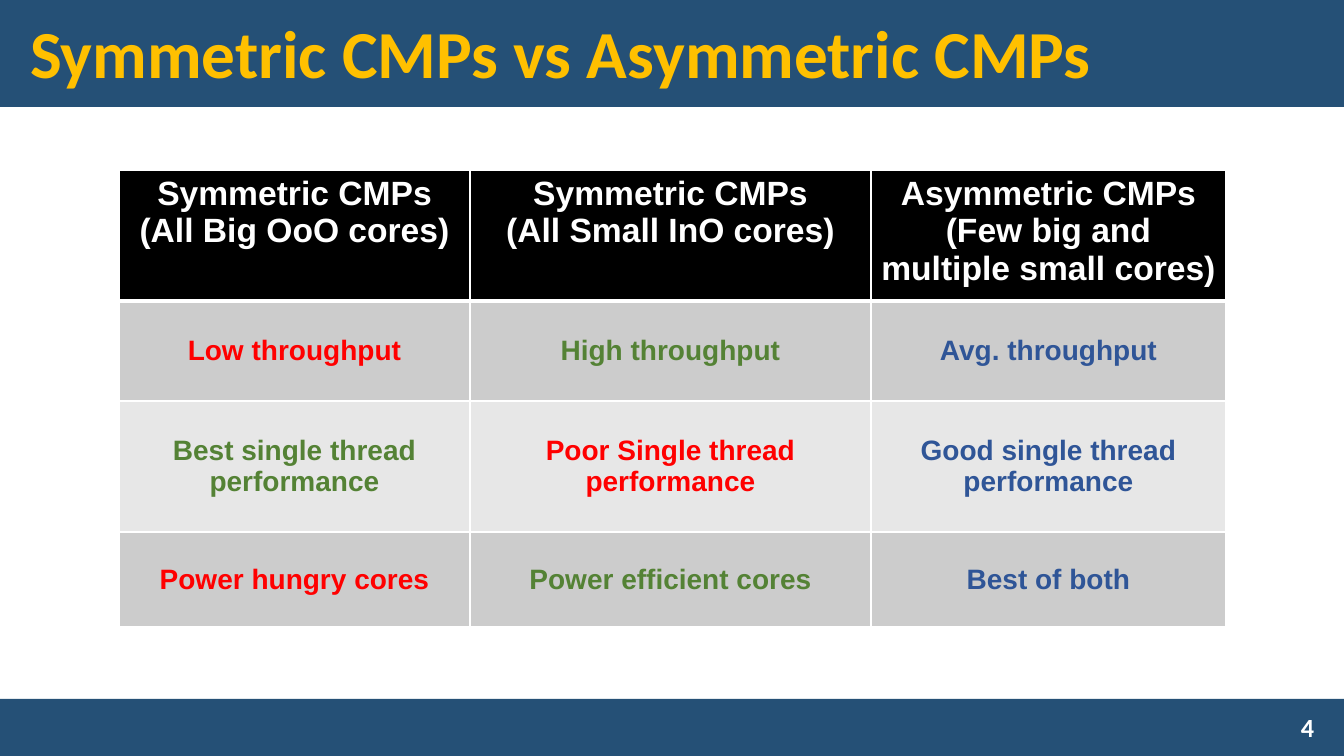
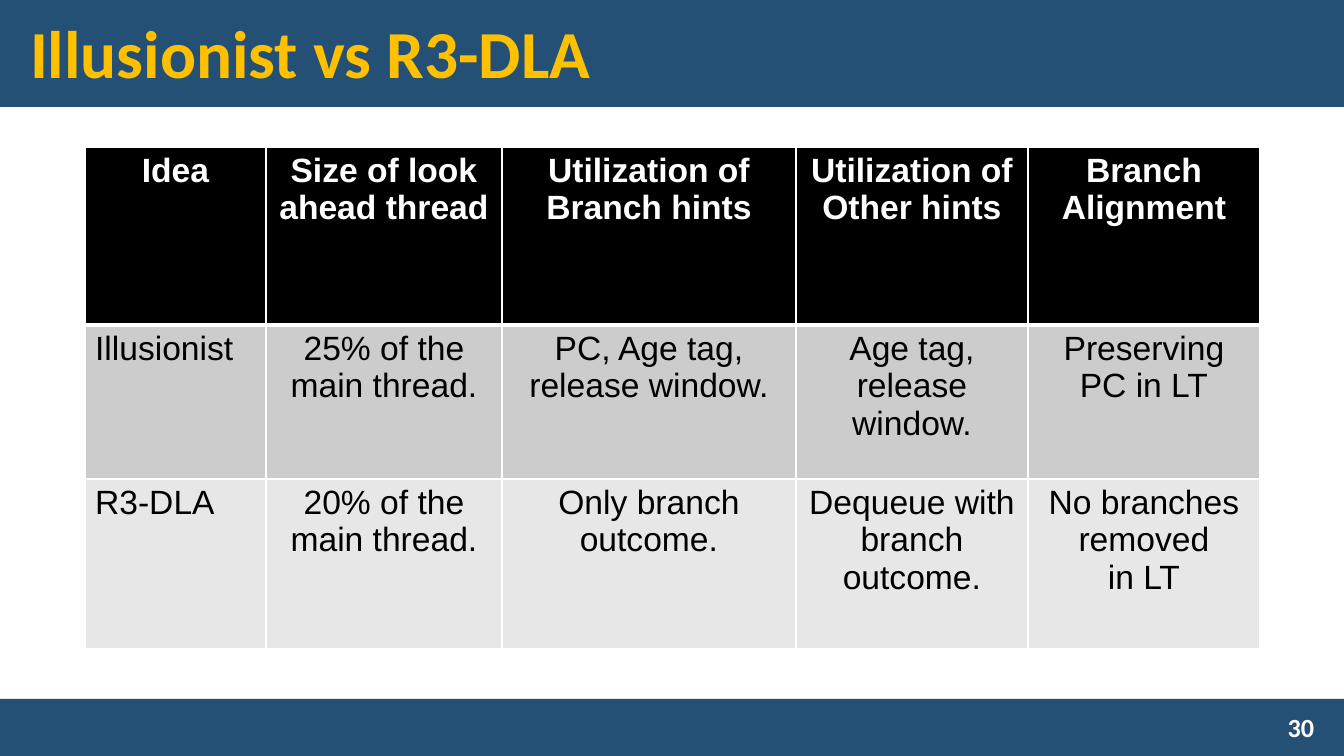
from pptx import Presentation
from pptx import util as u
from pptx.dml.color import RGBColor
from pptx.enum import shapes, text
from pptx.oxml import parse_xml
from pptx.oxml.ns import nsdecls

EMU_PER_INCH, PX_PER_INCH = 914400, 100.8
WIDTH, HEIGHT = 1344, 756
NAVY, GOLD, WHITE, BLACK = "255076", "FFC000", "FFFFFF", "000000"
RED, GREEN, BLUE = "FF0000", "548235", "2F5597"
STRIPES = ["CCCCCC", "E7E7E7"]
CENTER, LEFT, RIGHT = text.PP_ALIGN.CENTER, text.PP_ALIGN.LEFT, text.PP_ALIGN.RIGHT
TOP, MIDDLE = text.MSO_ANCHOR.TOP, text.MSO_ANCHOR.MIDDLE


def px(*lengths):
    return [u.Emu(round(n * EMU_PER_INCH / PX_PER_INCH)) for n in lengths]


def write(frame, words, size, face, color, bold, align):
    frame.text = words
    frame.word_wrap = True
    for paragraph in frame.paragraphs:
        paragraph.alignment = align
        font = paragraph.font
        font.name, font.size, font.bold = face, u.Pt(size), bold
        font.color.rgb = RGBColor.from_string(color)


comparisons = [
    {
        "title": "Symmetric CMPs vs Asymmetric CMPs",
        "number": "4",
        "corner": (119, 170),
        "columns": [351, 401, 355],
        "rows": [127, 100, 131, 95],
        "cells": [
            ["Symmetric CMPs\n(All Big OoO cores)",
             "Symmetric CMPs\n(All Small InO cores)",
             "Asymmetric CMPs\n(Few big and multiple small cores)"],
            ["Low throughput", "High throughput", "Avg. throughput"],
            ["Best single thread performance",
             "Poor Single thread performance",
             "Good single thread performance"],
            ["Power hungry cores", "Power efficient cores", "Best of both"],
        ],
        "colors": [[RED, GREEN, BLUE], [GREEN, RED, BLUE], [RED, GREEN, BLUE]],
        "size": 20,
        "bold": True,
        "anchor": MIDDLE,
        "first_align": CENTER,
    },
    {
        "title": "Illusionist vs R3-DLA",
        "number": "30",
        "corner": (85, 147),
        "columns": [181, 236, 294, 232, 232],
        "rows": [178, 154, 170],
        "cells": [
            ["Idea", "Size of look ahead thread", "Utilization of Branch hints",
             "Utilization of Other hints", "Branch\nAlignment"],
            ["Illusionist", "25% of the main thread.", "PC, Age tag, release window.",
             "Age tag, release window.", "Preserving PC in LT"],
            ["R3-DLA", "20% of the main thread.", "Only branch outcome.",
             "Dequeue with branch outcome.", "No branches removed\nin LT"],
        ],
        "colors": [[BLACK] * 5] * 2,
        "size": 24,
        "bold": False,
        "anchor": TOP,
        "first_align": LEFT,
    },
]

deck = Presentation()
deck.slide_width, deck.slide_height = px(WIDTH, HEIGHT)
title_only = deck.slide_layouts[5]

for comparison in comparisons:
    slide = deck.slides.add_slide(title_only)
    title = slide.shapes.title

    for top, height in [(0, 107), (699, 57)]:
        band = slide.shapes.add_shape(
            shapes.MSO_SHAPE.RECTANGLE, *px(0, top, WIDTH, height))
        band.fill.solid()
        band.fill.fore_color.rgb = RGBColor.from_string(NAVY)
        band.line.fill.background()
        band.shadow.inherit = False
        title.element.addprevious(band.element)

    title.left, title.top, title.width, title.height = px(20, 14, 1304, 85)
    write(title.text_frame, comparison["title"], 48, "Calibri", GOLD, True, LEFT)
    title.text_frame.auto_size = text.MSO_AUTO_SIZE.NONE
    title.text_frame.vertical_anchor = MIDDLE
    title.text_frame.paragraphs[0].line_spacing = 0.9

    number = slide.shapes.add_textbox(*px(979, 700, 345, 55)).text_frame
    write(number, comparison["number"], 18.7, "Calibri", WHITE, True, RIGHT)
    number.vertical_anchor = MIDDLE

    columns, rows = comparison["columns"], comparison["rows"]
    grid = slide.shapes.add_table(
        len(rows), len(columns),
        *px(*comparison["corner"], sum(columns), sum(rows))).table
    grid.horz_banding = False
    for column, width in zip(grid.columns, px(*columns)):
        column.width = width
    for row, height in zip(grid.rows, px(*rows)):
        row.height = height

    for r, entries in enumerate(comparison["cells"]):
        for c, entry in enumerate(entries):
            cell = grid.cell(r, c)
            if r == 0:
                fill = BLACK
                write(cell.text_frame, entry, 24, "Arial", WHITE, True, CENTER)
            else:
                fill = STRIPES[(r - 1) % 2]
                write(cell.text_frame, entry, comparison["size"], "Arial",
                      comparison["colors"][r - 1][c], comparison["bold"],
                      CENTER if c else comparison["first_align"])
                cell.vertical_anchor = comparison["anchor"]

            borders = {"L": 1, "R": 1, "T": 3 if r == 1 else 1, "B": 3 if r == 0 else 1}
            properties = cell._tc.get_or_add_tcPr()
            for side, points in borders.items():
                properties.append(parse_xml(
                    f'<a:ln{side} {nsdecls("a")} w="{u.Pt(points)}"><a:solidFill>'
                    f'<a:srgbClr val="{WHITE}"/></a:solidFill></a:ln{side}>'))
            cell.fill.solid()
            cell.fill.fore_color.rgb = RGBColor.from_string(fill)

deck.save("out.pptx")
